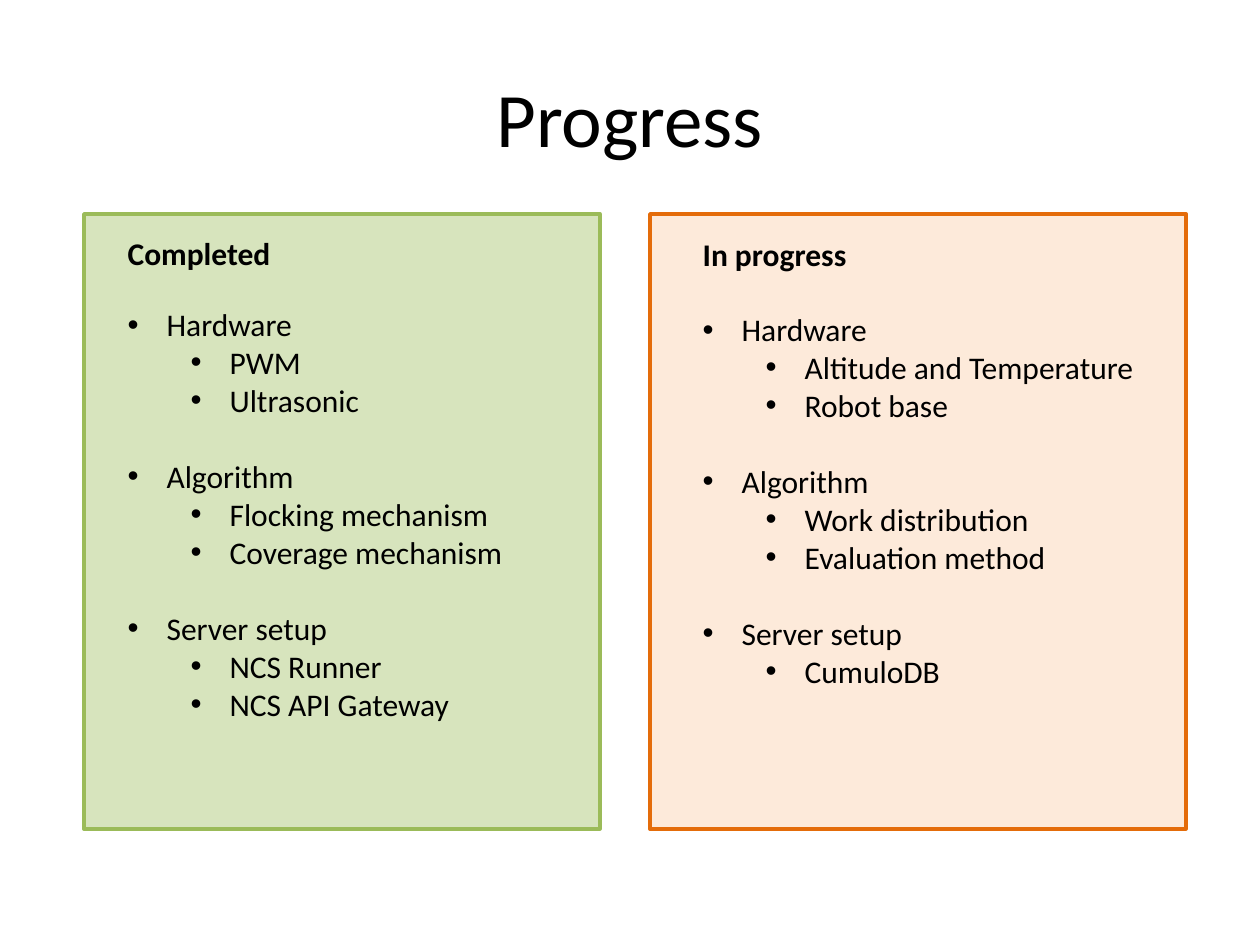
"""Build a progress slide with one panel for finished and one for current work."""
from lxml import etree
from pptx import Presentation, util as u
from pptx.dml.color import RGBColor
from pptx.enum import shapes, text
from pptx.oxml.ns import qn

TITLE = "Progress", (63, 38, 1134, 157)
PANELS = [
    {"box": (84, 214, 516, 615), "fill": "D7E4BD", "line": "9BBB59",
     "head": "Completed", "spot": (115, 228, 169, 50),
     "area": (115, 299, 404, 509),
     "list": [("Hardware", ["PWM", "Ultrasonic"]),
              ("Algorithm", ["Flocking mechanism", "Coverage mechanism"]),
              ("Server setup", ["NCS Runner", "NCS API Gateway"])]},
    {"box": (650, 214, 536, 615), "fill": "FDEADA", "line": "E46C0A",
     "head": "In progress", "spot": (690, 229, 170, 50),
     "area": (690, 304, 461, 471),
     "list": [("Hardware", ["Altitude and Temperature", "Robot base"]),
              ("Algorithm", ["Work distribution", "Evaluation method"]),
              ("Server setup", ["CumuloDB"])]},
]
FRAME = {"word_wrap": False, "auto_size": text.MSO_AUTO_SIZE.NONE}
PLAIN = {"name": "Calibri", "size": u.Pt(18), "bold": False}
BOLD = {**PLAIN, "bold": True}
LARGE = {**PLAIN, "size": u.Pt(44)}
LEFT, MID = text.PP_ALIGN.LEFT, text.PP_ALIGN.CENTER
TOP, CORE = text.MSO_ANCHOR.TOP, text.MSO_ANCHOR.MIDDLE
INDENT = (39, 102)
HANG = 39
GAP = 22


def px(n):
    return round(n * 914400 / 126)


def rgb(code):
    return RGBColor.from_string(code)


def apply(item, form):
    for key, val in form.items():
        setattr(item, key, val)


def place(shape, box, anchor):
    apply(shape, dict(zip(("left", "top", "width", "height"), map(px, box))))
    apply(shape.text_frame, {**FRAME, "vertical_anchor": anchor})
    return shape.text_frame


def write(para, words, form, align=LEFT, gap=0):
    apply(para, {"text": words, "alignment": align, "space_before": u.Pt(gap)})
    font = para.runs[0].font
    apply(font, form)
    font.color.rgb = rgb("000000")


def bullet(para, level):
    para.level = level
    props = para._p.get_or_add_pPr()
    props.set("marL", str(px(INDENT[level])))
    props.set("indent", str(-px(HANG)))
    etree.SubElement(props, qn("a:buFont"), typeface="Arial")
    etree.SubElement(props, qn("a:buChar"), char="•")


def panel(slide, data, order):
    rect = slide.shapes.add_shape(shapes.MSO_SHAPE.RECTANGLE, *map(px, data["box"]))
    rect.shadow.inherit = False
    rect.fill.solid()
    rect.fill.fore_color.rgb = rgb(data["fill"])
    rect.line.color.rgb = rgb(data["line"])
    rect.line.width = u.Pt(2)
    slide.shapes._spTree.insert(2, rect._element)

    head, body = (slide.placeholders[2 * order + n] for n in (1, 2))
    write(place(head, data["spot"], TOP).paragraphs[0], data["head"], BOLD)
    frame = place(body, data["area"], TOP)
    rows = [(words, level, GAP if group and not level else 0)
            for group, (name, subs) in enumerate(data["list"])
            for words, level in [(name, 0), *((sub, 1) for sub in subs)]]
    for n, (words, level, gap) in enumerate(rows):
        para = frame.add_paragraph() if n else frame.paragraphs[0]
        write(para, words, PLAIN, gap=gap)
        bullet(para, level)


def main():
    deck = Presentation()
    deck.slide_width, deck.slide_height = px(1260), px(945)
    slide = deck.slides.add_slide(deck.slide_layouts.get_by_name("Comparison"))
    words, box = TITLE
    write(place(slide.shapes.title, box, CORE).paragraphs[0], words, LARGE, MID)
    for order, data in enumerate(PANELS):
        panel(slide, data, order)
    deck.save("out.pptx")


if __name__ == "__main__":
    main()
